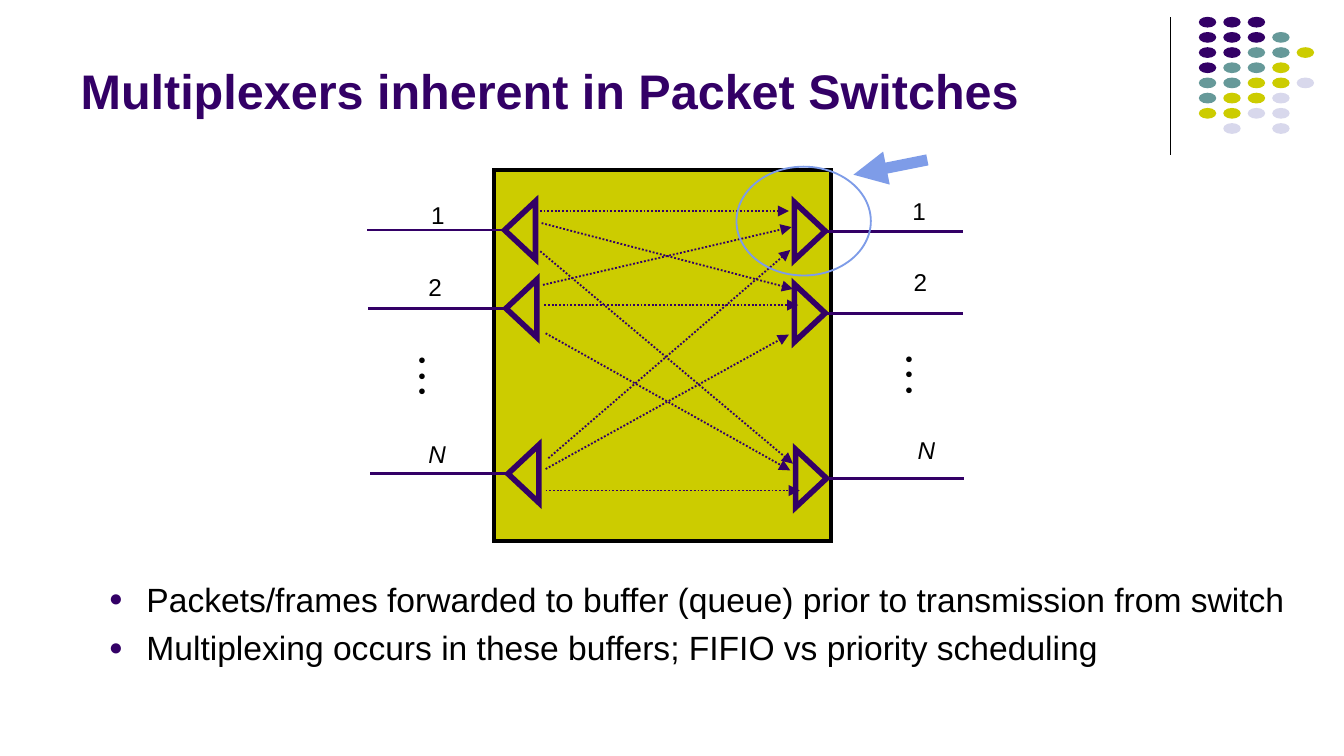
from lxml.etree import SubElement
from pptx import Presentation
from pptx.dml.color import RGBColor
from pptx.enum.dml import MSO_LINE
from pptx.enum.shapes import MSO_CONNECTOR, MSO_SHAPE
from pptx.enum.text import MSO_ANCHOR, MSO_AUTO_SIZE, PP_ALIGN
from pptx.oxml.ns import qn
from pptx.util import Inches, Pt

COLS, ROWS = 100, 56.25  # square grid cells, a tenth of an inch each
INK, GOLD, TEAL, PALE, SKY = "330066", "CCCC00", "669999", "D8D8EC", "7E9CE8"


def hue(code):
    return RGBColor.from_string(code)


def write(frame, text, size=13, color="000000", bold=False, italic=False,
          before=0, bullet=None):
    """Fill a text frame, one paragraph for each line of text."""
    frame.text = text
    for para in frame.paragraphs:
        para.alignment = PP_ALIGN.LEFT
        para.space_before = Pt(before)
        font = para.runs[0].font
        font.name, font.size = "Arial", Pt(size)
        font.bold, font.italic = bold, italic
        font.color.rgb = hue(color)
        if bullet:
            props = para._p.get_or_add_pPr()
            props.set("marL", str(Inches(0.28)))
            props.set("indent", str(Inches(-0.28)))
            tint = SubElement(props, qn("a:buClr"))
            SubElement(tint, qn("a:srgbClr"), val=bullet)
            SubElement(props, qn("a:buSzPct"), val="70000")
            SubElement(props, qn("a:buFont"), typeface="Arial")
            SubElement(props, qn("a:buChar"), char="●")


class Canvas:
    """Holds the style and the current slide."""

    def __init__(self, deck):
        self.col = deck.slide_width / COLS
        self.row = deck.slide_height / ROWS
        self.slide = deck.slides.add_slide(deck.slide_layouts[1])
        self.shapes = self.slide.shapes

    def spot(self, x, y):
        return round(x * self.col), round(y * self.row)

    def shape(self, kind, x, y, w, h, fill=None, line=None, width=1, turn=0):
        item = self.shapes.add_shape(kind, *self.spot(x, y), *self.spot(w, h))
        item.shadow.inherit = False
        item.rotation = turn
        if fill:
            item.fill.solid()
            item.fill.fore_color.rgb = hue(fill)
        else:
            item.fill.background()
        if line:
            item.line.color.rgb = hue(line)
            item.line.width = Pt(width)
            edge = item._element.spPr.find(qn("a:ln"))
            SubElement(edge, qn("a:miter"), lim="800000")
        else:
            item.line.fill.background()

    def line(self, x1, y1, x2, y2, color=INK, width=1.5, dash=None, head=False):
        item = self.shapes.add_connector(
            MSO_CONNECTOR.STRAIGHT, *self.spot(x1, y1), *self.spot(x2, y2))
        item.line.color.rgb = hue(color)
        item.line.width = Pt(width)
        if dash:
            item.line.dash_style = dash
        props = item._element.spPr
        if head:
            SubElement(props.find(qn("a:ln")), qn("a:tailEnd"), type="triangle")
        SubElement(props, qn("a:effectLst"))

    def label(self, text, x, y, w, h, pad=(0.1, 0.05), **style):
        frame = self.shapes.add_textbox(*self.spot(x, y), *self.spot(w, h)).text_frame
        frame.word_wrap = False
        frame.margin_left = frame.margin_right = Inches(pad[0])
        frame.margin_top = frame.margin_bottom = Inches(pad[1])
        write(frame, text, **style)

    def holder(self, index, text, x, y, w, h, anchor, **style):
        item = self.slide.placeholders[index]
        item.left, item.top = self.spot(x, y)
        item.width, item.height = self.spot(w, h)
        frame = item.text_frame
        frame.auto_size = MSO_AUTO_SIZE.NONE
        frame.word_wrap = True
        frame.vertical_anchor = anchor
        write(frame, text, **style)

    def port(self, x, y, side):
        """Draw a triangle centred on x, y and its link; side is -1 or 1."""
        near = x + side * 1.1
        self.line(near, y, near + side * 10.3, y)
        self.shape(MSO_SHAPE.ISOSCELES_TRIANGLE, x - 2.15, y - 1.15, 4.3, 2.3,
                   GOLD, INK, 3, turn=side * 90 % 360)


def main():
    deck = Presentation()
    deck.slide_width = Inches(10)
    deck.slide_height = deck.slide_width * 9 // 16
    art = Canvas(deck)

    # Corner ornament: a rule and a grid of dots
    art.line(87.1, 1.3, 87.1, 11.5, "000000", 0.75)
    tints = {"I": INK, "T": TEAL, "G": GOLD, "P": PALE}
    dots = ["III", "IIIT", "IITTG", "ITTG", "TTGGP", "TGGP", "GGPP", " P P"]
    for r, marks in enumerate(dots):
        for c, mark in enumerate(marks):
            if mark in tints:
                art.shape(MSO_SHAPE.OVAL, 89.2 + 1.82 * c, 1.25 + 1.13 * r,
                          1.3, 0.8, tints[mark])

    # Title and list
    art.holder(0, "Multiplexers inherent in Packet Switches", 5, 1, 82.5, 8.4,
               MSO_ANCHOR.BOTTOM, size=26, color=INK, bold=True)
    art.holder(1, "Packets/frames forwarded to buffer (queue) prior to "
               "transmission from switch\n"
               "Multiplexing occurs in these buffers; FIFIO vs priority scheduling",
               7.1, 42.55, 90.5, 9, MSO_ANCHOR.TOP, size=18, before=4.5, bullet=INK)

    # Switch box
    art.shape(MSO_SHAPE.RECTANGLE, 36.75, 12.68, 25.1, 27.6, GOLD, "000000", 2)

    # Ports: name, side, centre of triangle, corner of label
    ports = [("1", -1, 38.7, 17.12, 31.1, 14.4), ("2", -1, 38.8, 22.95, 30.9, 19.75),
             ("N", -1, 38.95, 35.25, 30.9, 32.2), ("1", 1, 60.25, 17.2, 66.9, 14.1),
             ("2", 1, 60.25, 23.3, 67, 19.4), ("N", 1, 60.35, 35.6, 67.3, 31.9)]
    for name, side, x, y, left, top in ports:
        art.port(x, y, side)
        art.label(name, left, top, 3.3 if name == "N" else 3, 3.2,
                  italic=name == "N")

    # Paths from each input to each output
    paths = [(39.9, 15.7, 58.7, 15.7), (40.3, 16.6, 59, 21.5), (40.2, 18.7, 59, 34.5),
             (40.4, 21.2, 58.9, 16.9), (40.5, 22.7, 59.4, 22.7), (40.6, 24.8, 58.8, 35),
             (40.8, 34.1, 58.8, 18.6), (40.6, 34.9, 58.7, 24.9), (40.6, 36.5, 59.5, 36.5)]
    for path in paths:
        art.line(*path, width=1, dash=MSO_LINE.ROUND_DOT, head=True)

    # Dots for the ports between
    for x, y in [(30.4, 25.75), (66.65, 25.65)]:
        art.label("●\n●\n●", x, y, 2.5, 4.2, pad=(0.07, 0.04), size=7)

    # Ring and arrow on the first output
    art.shape(MSO_SHAPE.OVAL, 54.8, 12.4, 10, 8.1, line=SKY)
    art.line(69, 11.9, 63.5, 13, SKY, 6, head=True)

    deck.save("out.pptx")


if __name__ == "__main__":
    main()
